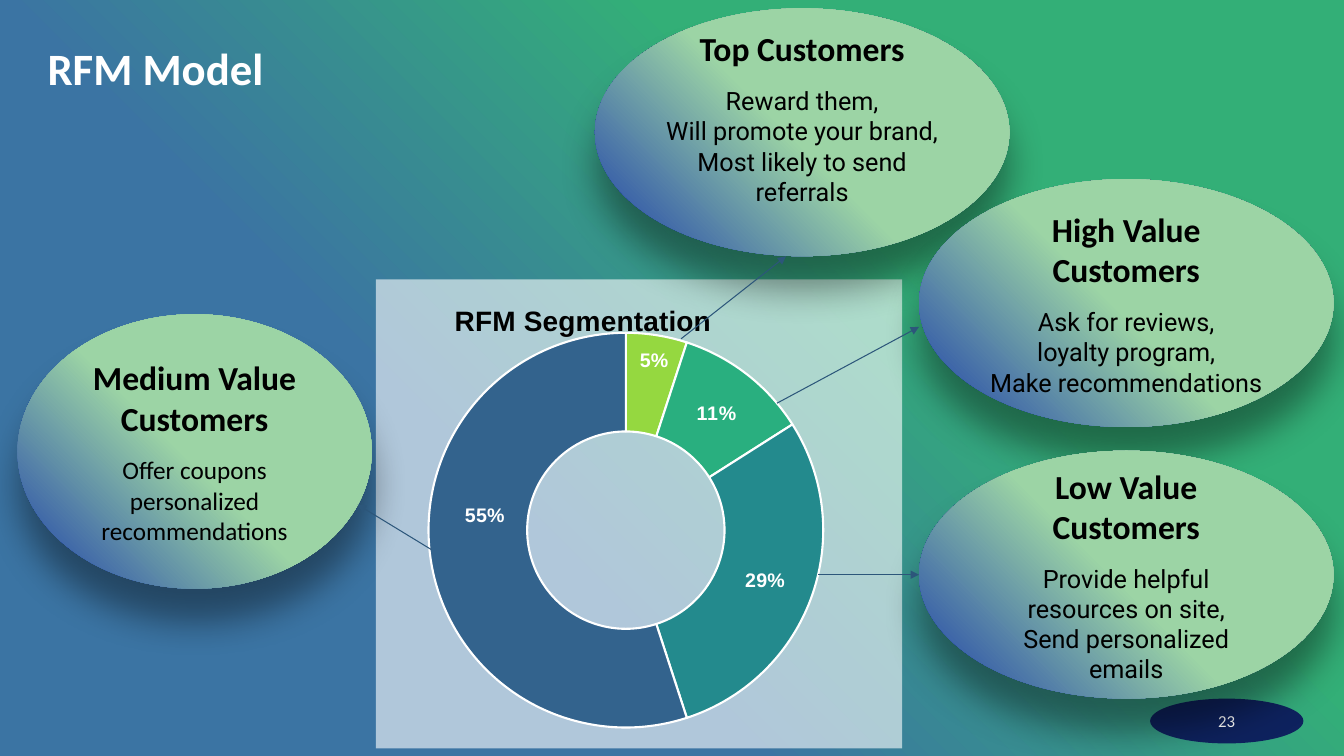
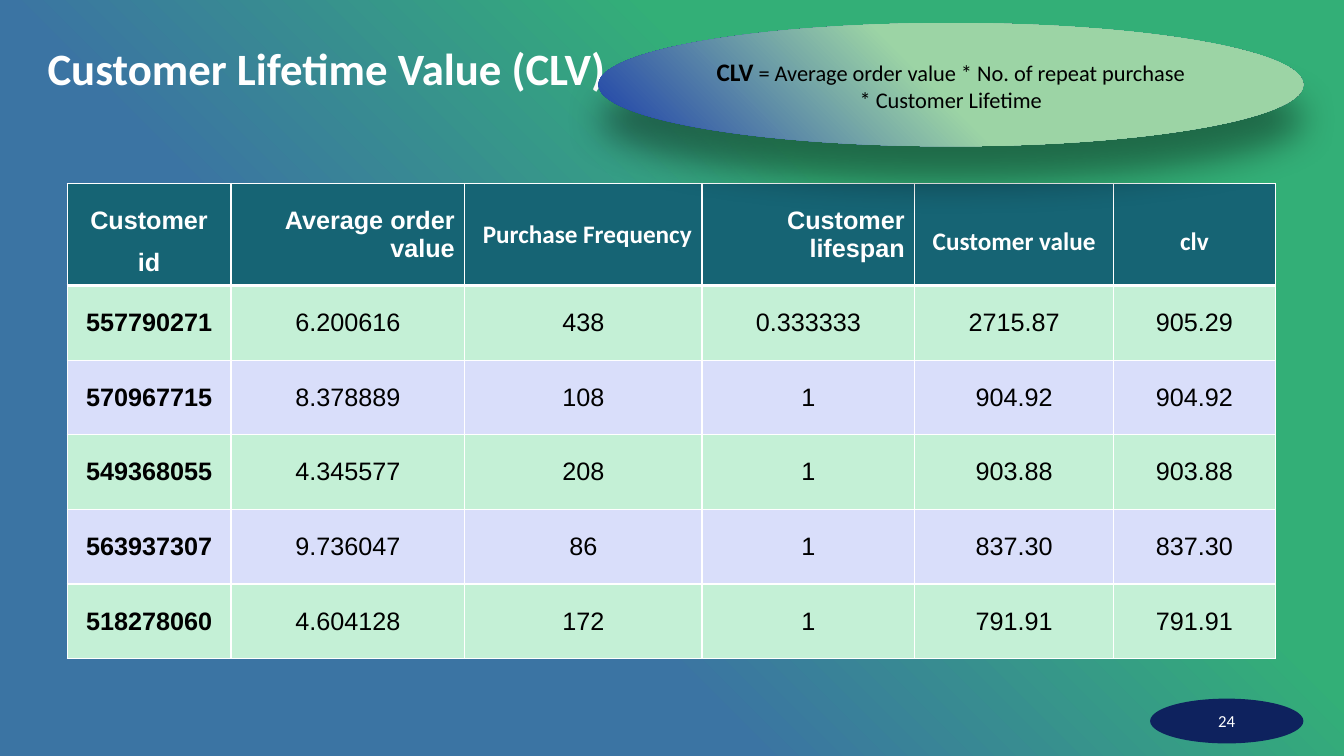
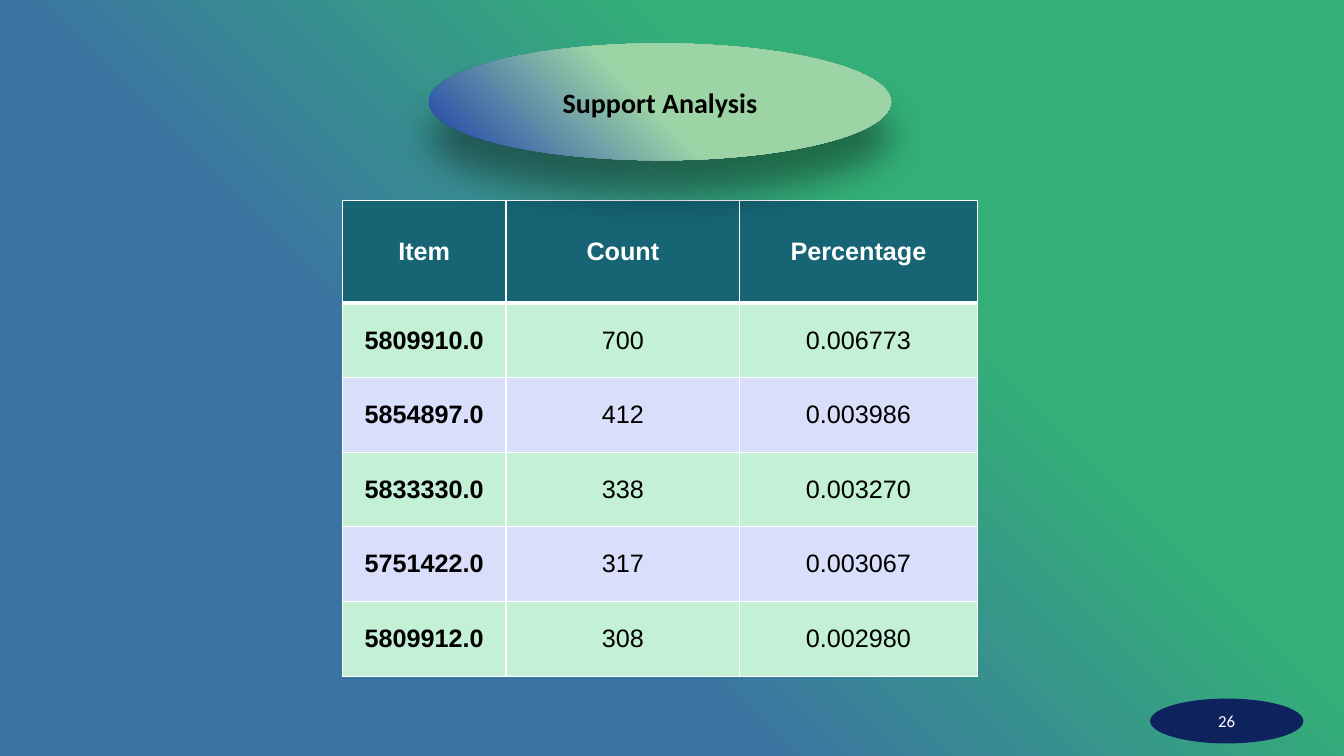
from pptx import Presentation
from pptx.chart.data import CategoryChartData
from pptx.dml.color import RGBColor
from pptx.enum.chart import XL_CHART_TYPE as ChartType
from pptx.enum.shapes import MSO_CONNECTOR as Connector, MSO_SHAPE as Preset
from pptx.enum.text import MSO_ANCHOR as Anchor, PP_ALIGN as Align
from pptx.oxml import parse_xml
from pptx.oxml.ns import nsdecls
from pptx.util import Pt

WHITE = RGBColor(0xFF, 0xFF, 0xFF)
BLACK = RGBColor(0x00, 0x00, 0x00)
NAVY = RGBColor(0x0E, 0x22, 0x5E)
ARROW_BLUE = RGBColor(0x2C, 0x56, 0x7A)
HEADER_TEAL = RGBColor(0x16, 0x64, 0x74)
ROW_MINT = RGBColor(0xC4, 0xF0, 0xD6)
ROW_LILAC = RGBColor(0xD9, 0xDE, 0xFA)
GREEN = RGBColor(0x33, 0xAF, 0x77)
BLUE = RGBColor(0x3B, 0x74, 0xA3)
LEAF = RGBColor(0x9C, 0xD4, 0xA5)
ROYAL = RGBColor(0x19, 0x3B, 0xAA)
SEGMENT_COLORS = [RGBColor(0x95, 0xD8, 0x40), RGBColor(0x29, 0xAF, 0x7F),
                  RGBColor(0x23, 0x8A, 0x8D), RGBColor(0x33, 0x63, 0x8D)]

BACKGROUND_STOPS = [(0, GREEN), (33, GREEN), (64, BLUE), (100, BLUE)]
BUBBLE_STOPS = [(0, LEAF), (52, LEAF), (100, ROYAL)]


def corner_gradient(solid_fill, stops):
    """Replace a solid fill element by a gradient from the top right corner."""
    stop_xml = "".join(
        f'<a:gs pos="{percent * 1000}"><a:srgbClr val="{color}"/></a:gs>'
        for percent, color in stops)
    gradient = parse_xml(
        f'<a:gradFill {nsdecls("a")} rotWithShape="1"><a:gsLst>{stop_xml}</a:gsLst>'
        '<a:path path="circle"><a:fillToRect l="100000" b="100000"/></a:path>'
        '<a:tileRect t="-100000" r="-100000"/></a:gradFill>')
    solid_fill.getparent().replace(solid_fill, gradient)


def add_bubble(slide, box, paragraphs):
    """Add a shadowed ellipse; each paragraph is a list of (text, font, size, bold)."""
    bubble = slide.shapes.add_shape(Preset.OVAL, *map(Pt, box))
    bubble.fill.solid()
    bubble.fill.fore_color.rgb = LEAF
    corner_gradient(bubble.element.xpath("./p:spPr/a:solidFill")[0], BUBBLE_STOPS)
    bubble.line.fill.background()
    bubble.shadow.inherit = False
    bubble.element.xpath("./p:spPr/a:effectLst")[0].append(parse_xml(
        f'<a:outerShdw {nsdecls("a")} blurRad="{Pt(26)}" dist="{Pt(24)}" dir="5400000"'
        ' rotWithShape="0"><a:srgbClr val="000000"><a:alpha val="39000"/></a:srgbClr>'
        '</a:outerShdw>'))
    frame = bubble.text_frame
    frame.word_wrap = True
    frame.vertical_anchor = Anchor.MIDDLE
    for index, runs in enumerate(paragraphs):
        paragraph = frame.add_paragraph() if index else frame.paragraphs[0]
        paragraph.alignment = Align.CENTER
        for text, font_name, size, bold in runs:
            run = paragraph.add_run()
            run.text = text
            run.font.name = font_name
            run.font.size = Pt(size)
            run.font.bold = bold
            run.font.color.rgb = BLACK
    return bubble


prs = Presentation()
prs.slide_width, prs.slide_height = Pt(960), Pt(540)
master = prs.slide_master
master.background.fill.solid()
master.background.fill.fore_color.rgb = GREEN
corner_gradient(master.element.xpath(".//p:bgPr/a:solidFill")[0], BACKGROUND_STOPS)

# Titles and page numbers
slides = []
for title, page in [("RFM Model", "23"), ("Customer Lifetime Value (CLV)", "24"), (None, "26")]:
    slide = prs.slides.add_slide(prs.slide_layouts[6])
    slides.append(slide)
    if title:
        heading = slide.shapes.add_textbox(Pt(34), Pt(34), Pt(892), Pt(34)).text_frame
        heading.margin_left = heading.margin_right = 0
        heading.margin_top = heading.margin_bottom = 0
        heading.word_wrap = True
        heading.vertical_anchor = Anchor.MIDDLE
        heading.text = title
        heading.paragraphs[0].line_spacing = 0.9
        font = heading.paragraphs[0].runs[0].font
        font.name, font.size, font.bold = "Calibri", Pt(32), True
        font.color.rgb = WHITE
    badge = slide.shapes.add_shape(Preset.OVAL, Pt(821.5), Pt(499), Pt(109.5), Pt(32))
    badge.fill.solid()
    badge.fill.fore_color.rgb = NAVY
    badge.line.fill.background()
    badge.shadow.inherit = False
    badge.text_frame.text = page
    badge.text_frame.vertical_anchor = Anchor.MIDDLE
    badge.text_frame.paragraphs[0].alignment = Align.CENTER
    font = badge.text_frame.paragraphs[0].runs[0].font
    font.name, font.size = "Calibri", Pt(12)
    font.color.rgb = WHITE
rfm_slide, clv_slide, support_slide = slides

# RFM segmentation chart
segmentation = CategoryChartData()
segmentation.categories = ["1", "2", "3", "4"]
segmentation.add_series("Series 1", [5, 11, 29, 55])
chart = rfm_slide.shapes.add_chart(
    ChartType.DOUGHNUT, Pt(268.5), Pt(199.5), Pt(376), Pt(335), segmentation).chart
chart.has_legend = False
chart.font.name, chart.font.size = "Arial", Pt(10)
chart.font.color.rgb = BLACK
chart.has_title = True
chart.chart_title.text_frame.text = "RFM Segmentation"
title_font = chart.chart_title.text_frame.paragraphs[0].runs[0].font
title_font.name, title_font.size, title_font.bold = "Arial", Pt(20), True
title_font.color.rgb = BLACK

ring = chart.plots[0]
ring.vary_by_categories = False
segments = ring.series[0]
for index, color in enumerate(SEGMENT_COLORS):
    look = segments.points[index].format
    look.fill.solid()
    look.fill.fore_color.rgb = color
    look.line.color.rgb = WHITE
    look.line.width = Pt(1.5)

percent_labels = segments.data_labels
percent_labels.show_percentage = True
percent_labels.show_value = False
percent_labels.number_format = "0%"
percent_labels.number_format_is_linked = False
moved_labels = {0: (0.01, -0.05), 3: (0.01, -0.08)}
for label_font in [percent_labels.font] + [segments.points[i].data_label.font for i in moved_labels]:
    label_font.name, label_font.size, label_font.bold = "Arial", Pt(14), True
    label_font.color.rgb = WHITE

chart_xml = chart.element
for label, (dx, dy) in zip(chart_xml.xpath(".//c:dLbl"), moved_labels.values()):
    label.xpath("./c:showVal")[0].set("val", "0")
    label.xpath("./c:showPercent")[0].set("val", "1")
    label.insert(1, parse_xml(
        f'<c:layout {nsdecls("c")}><c:manualLayout><c:x val="{dx}"/><c:y val="{dy}"/>'
        '</c:manualLayout></c:layout>'))
    label.insert(2, parse_xml(
        f'<c:numFmt {nsdecls("c")} formatCode="0%" sourceLinked="0"/>'))

for old_layout in chart_xml.xpath(".//c:plotArea/c:layout | .//c:chart/c:title/c:layout"):
    old_layout.getparent().remove(old_layout)
chart_xml.xpath(".//c:plotArea")[0].insert(0, parse_xml(
    f'<c:layout {nsdecls("c")}><c:manualLayout><c:layoutTarget val="inner"/>'
    '<c:xMode val="edge"/><c:yMode val="edge"/><c:x val="0.1"/><c:y val="0.1"/>'
    '<c:w val="0.75"/><c:h val="0.87"/></c:manualLayout></c:layout>'))
chart_xml.xpath("./c:chart/c:title/c:tx")[0].addnext(parse_xml(
    f'<c:layout {nsdecls("c")}><c:manualLayout><c:xMode val="edge"/><c:yMode val="edge"/>'
    '<c:x val="0.14"/><c:y val="0.04"/></c:manualLayout></c:layout>'))
chart_xml.xpath("./c:chart")[0].addnext(parse_xml(
    f'<c:spPr {nsdecls("c", "a")}><a:solidFill><a:srgbClr val="FFFFFF">'
    '<a:alpha val="60000"/></a:srgbClr></a:solidFill><a:ln><a:noFill/></a:ln></c:spPr>'))

# Customer segments around the chart
customer_segments = [
    ("Top Customers", (425, 6, 296, 177), "Roboto",
     ["Reward them,", "Will promote your brand,", "Most likely to send referrals"]),
    ("High Value Customers", (656.5, 128, 296, 177), "Roboto",
     ["Ask for reviews,", "loyalty program,", "Make recommendations"]),
    ("Low Value Customers", (656.5, 322, 296, 177), "Roboto",
     ["Provide helpful resources on site,", "Send personalized emails"]),
    ("Medium Value Customers", (12.5, 224.5, 253, 196), "Calibri",
     ["Offer coupons", "personalized recommendations"]),
]
for name, box, body_font, actions in customer_segments:
    bubble = add_bubble(rfm_slide, box, [[(name, "Calibri", 24, True)]] + [
        [(action, body_font, 18, False)] for action in actions])
    bubble.text_frame.paragraphs[0].space_after = Pt(12)
    if name == "Top Customers":
        bubble.text_frame.margin_bottom = Pt(25)

for ends in [(308, 392.5, 255.5, 360.5), (486.5, 242, 561.5, 183),
             (555, 288, 656.5, 233.5), (584.5, 410.5, 656.5, 410.5)]:
    arrow = rfm_slide.shapes.add_connector(Connector.STRAIGHT, *map(Pt, ends))
    arrow.line.color.rgb = ARROW_BLUE
    arrow.line.width = Pt(0.75)
    arrow.line._get_or_add_ln().append(parse_xml(f'<a:tailEnd {nsdecls("a")} type="triangle"/>'))
    arrow.element.spPr.append(parse_xml(f'<a:effectLst {nsdecls("a")}/>'))

# Tables: header cells are (text, font, alignment, line spacing)
clv_header = [
    ("Customer id", "Arial", Align.CENTER, 1.5),
    ("Average order value", "Arial", Align.RIGHT, 1),
    ("Purchase Frequency", "Calibri", Align.RIGHT, 1),
    ("Customer lifespan", "Arial", Align.RIGHT, 1),
    ("Customer value", "Calibri", Align.CENTER, 1.5),
    ("clv", "Calibri", Align.CENTER, 1.5),
]
clv_rows = [
    ("557790271", "6.200616", "438", "0.333333", "2715.87", "905.29"),
    ("570967715", "8.378889", "108", "1", "904.92", "904.92"),
    ("549368055", "4.345577", "208", "1", "903.88", "903.88"),
    ("563937307", "9.736047", "86", "1", "837.30", "837.30"),
    ("518278060", "4.604128", "172", "1", "791.91", "791.91"),
]
support_header = [(text, "Arial", Align.CENTER, 1) for text in ("Item", "Count", "Percentage")]
support_rows = [
    ("5809910.0", "700", "0.006773"),
    ("5854897.0", "412", "0.003986"),
    ("5833330.0", "338", "0.003270"),
    ("5751422.0", "317", "0.003067"),
    ("5809912.0", "308", "0.002980"),
]
COLUMN_WIDTHS = [117, 167, 169.5, 152, 142, 115.5]
HEADER_HEIGHT, ROW_HEIGHT = 73, 53.3

for slide, left, top, header, body in [(clv_slide, 48, 131, clv_header, clv_rows),
                                       (support_slide, 244.5, 143.5, support_header, support_rows)]:
    widths = COLUMN_WIDTHS[:len(header)]
    table = slide.shapes.add_table(
        len(body) + 1, len(header), Pt(left), Pt(top), Pt(sum(widths)),
        Pt(HEADER_HEIGHT + ROW_HEIGHT * len(body))).table
    for column, width in zip(table.columns, widths):
        column.width = Pt(width)
    grid = [header] + [[(value, "Arial", Align.CENTER, 1) for value in row] for row in body]
    for r, row in enumerate(grid):
        table.rows[r].height = Pt(ROW_HEIGHT if r else HEADER_HEIGHT)
        for c, (text, font_name, alignment, spacing) in enumerate(row):
            cell = table.cell(r, c)
            cell.vertical_anchor = Anchor.MIDDLE
            cell.fill.solid()
            cell.fill.fore_color.rgb = HEADER_TEAL if r == 0 else ROW_MINT if r % 2 else ROW_LILAC
            cell.text_frame.text = text
            paragraph = cell.text_frame.paragraphs[0]
            paragraph.alignment = alignment
            paragraph.line_spacing = spacing
            font = paragraph.runs[0].font
            font.name, font.size, font.bold = font_name, Pt(18), r == 0 or c == 0
            font.color.rgb = BLACK if r else WHITE
            borders = [("L", 1), ("R", 1), ("T", 3 if r == 1 else 1), ("B", 1 if r else 3)]
            for position, (side, weight) in enumerate(borders):
                cell._tc.get_or_add_tcPr().insert(position, parse_xml(
                    f'<a:ln{side} {nsdecls("a")} w="{Pt(weight)}"><a:solidFill>'
                    f'<a:srgbClr val="{WHITE}"/></a:solidFill></a:ln{side}>'))

add_bubble(clv_slide, (427.5, 16.5, 503.5, 88), [[
    ("CLV", "Calibri", 18, True),
    (" = Average order value * No. of repeat purchase * Customer Lifetime", "Calibri", 16, False)]])
add_bubble(support_slide, (306.5, 31, 330, 83.5), [[("Support Analysis", "Calibri", 20, True)]])

prs.save("out.pptx")
